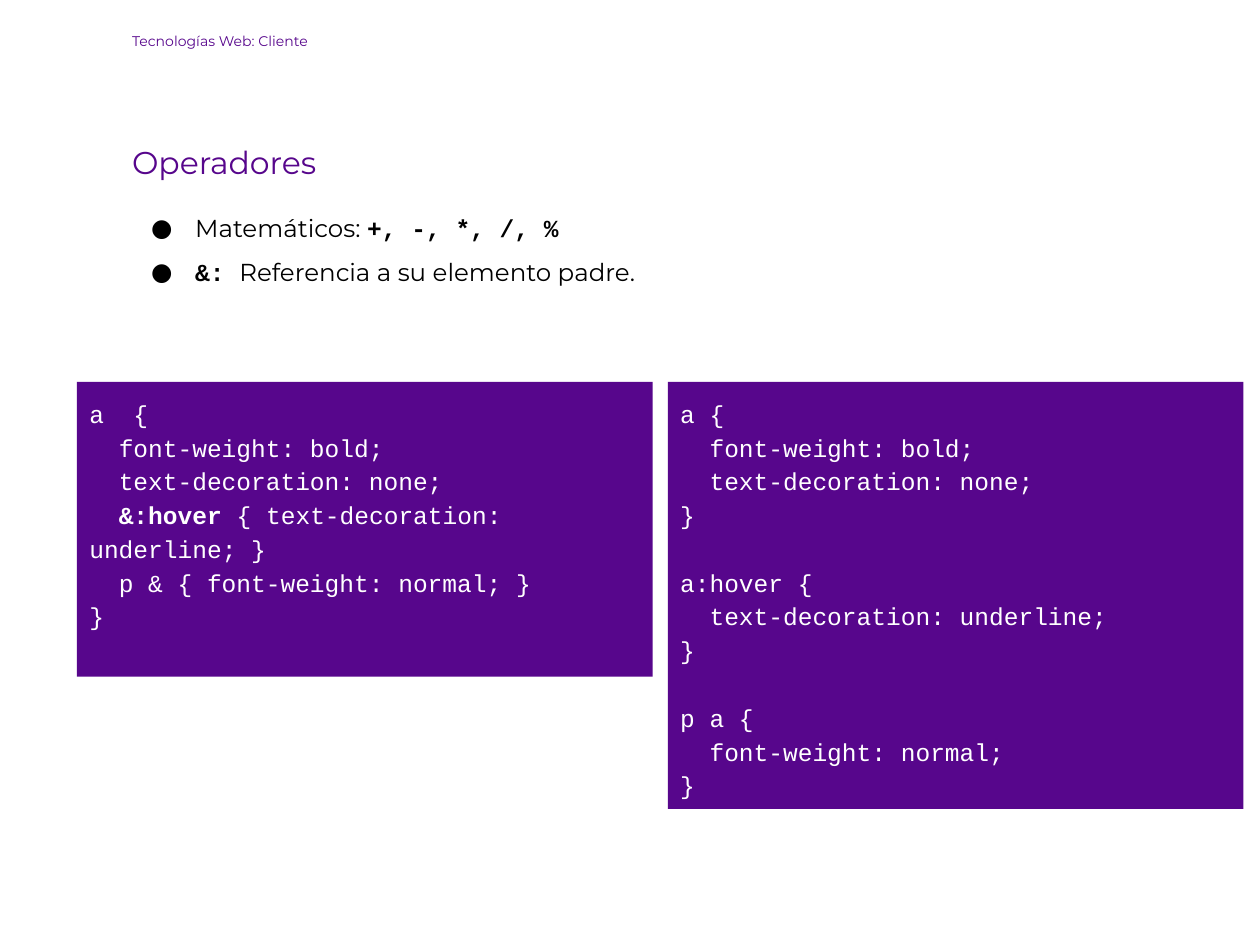
from lxml.etree import SubElement
from pptx import Presentation
from pptx.dml.color import RGBColor
from pptx.enum.shapes import MSO_SHAPE
from pptx.enum.text import MSO_ANCHOR, PP_ALIGN
from pptx.oxml.ns import qn
from pptx.util import Pt

# Content: a run is (text, style); a code line is (depth, gap above, runs)
HEADER = "Tecnologías Web: Cliente"
TITLE = "Operadores"
BULLETS = [
    [("Matemáticos: ", "body"), ("+, -, *, /, %", "mark")],
    [("&: ", "mark"), ("Referencia a su elemento padre.", "body")],
]
NESTED = [
    (0, 0, [("a  {", "code")]),
    (1, 0, [("font-weight: bold;", "code")]),
    (1, 0, [("text-decoration: none;", "code")]),
    (1, 0, [("&:hover", "strong"), (" { text-decoration: underline; }", "code")]),
    (1, 0, [("p & { font-weight: normal; }", "code")]),
    (0, 0, [("}", "code")]),
]
FLAT = [
    (0, 0, [("a {", "code")]),
    (1, 0, [("font-weight: bold;", "code")]),
    (1, 0, [("text-decoration: none;", "code")]),
    (0, 0, [("}", "code")]),
    (0, 1, [("a:hover {", "code")]),
    (1, 0, [("text-decoration: underline;", "code")]),
    (0, 0, [("}", "code")]),
    (0, 1, [("p a {", "code")]),
    (1, 0, [("font-weight: normal;", "code")]),
    (0, 0, [("}", "code")]),
]

# Theme: (font, size, colour, bold) for each style
PURPLE, BLACK, WHITE = "57068C", "000000", "FFFFFF"
SANS, MONO = "Montserrat", "Courier New"
THEME = {
    "header": (SANS, 8, PURPLE, False),
    "title": (SANS, 18, PURPLE, False),
    "body": (SANS, 14, BLACK, False),
    "mark": (MONO, 14, BLACK, True),
    "code": (MONO, 14, WHITE, False),
    "strong": (MONO, 14, WHITE, True),
}

# Layout in points
INSET = 7.2
LEFT, WIDE = 68.4, 605.5
BOX_X, BOX_Y, BOX_W, BOX_GAP = 44, 218.2, 329, 8.6
HEIGHTS = (168.5, 244)
TAB, LINE = 16.8, 19.3  # two code characters, one code line


def set_frame(shape):
    frame = shape.text_frame
    frame.word_wrap = True
    frame.vertical_anchor = MSO_ANCHOR.TOP
    frame.margin_left = frame.margin_right = Pt(INSET)
    frame.margin_top = frame.margin_bottom = Pt(INSET)
    return frame


def add_text(slide, x, y, w, h):
    return set_frame(slide.shapes.add_textbox(Pt(x), Pt(y), Pt(w), Pt(h)))


def add_line(frame, runs, lead=1.0, above=0, first=0, left=0):
    """Fill the empty first paragraph, or add one after it."""
    start = frame.paragraphs[0]
    para = frame.add_paragraph() if start.runs else start
    para.alignment = PP_ALIGN.LEFT
    para.line_spacing = lead
    para.space_before = Pt(above)
    props = para._p.get_or_add_pPr()
    props.set("marL", str(Pt(left)))
    props.set("indent", str(Pt(first)))
    for text, style in runs:
        run = para.add_run()
        run.text = text
        font = run.font
        font.name, size, tint, font.bold = THEME[style]
        font.size = Pt(size)
        font.color.rgb = RGBColor.from_string(tint)
    return props


def add_bullet(props):
    tint = SubElement(props, qn("a:buClr"))
    SubElement(tint, qn("a:srgbClr"), val=BLACK)
    SubElement(props, qn("a:buFont"), typeface=SANS)
    SubElement(props, qn("a:buChar"), char="●")


def add_code(slide, x, h, lines):
    box = slide.shapes.add_shape(
        MSO_SHAPE.RECTANGLE, Pt(x), Pt(BOX_Y), Pt(BOX_W), Pt(h))
    box.shadow.inherit = False
    box.fill.solid()
    box.fill.fore_color.rgb = RGBColor.from_string(PURPLE)
    box.line.fill.background()
    frame = set_frame(box)
    for depth, gap, runs in lines:
        add_line(frame, runs, 1.15, gap * LINE, depth * TAB)


def main():
    deck = Presentation()
    deck.slide_width, deck.slide_height = Pt(720), Pt(540)
    slide = deck.slides.add_slide(deck.slide_layouts[6])

    # Header
    add_line(add_text(slide, LEFT, 13.7, 272, 28), [(HEADER, "header")])

    # Title and bullets
    body = add_text(slide, LEFT, 71.3, WIDE, 103.7)
    add_line(body, [(TITLE, "title")], 1.15)
    for i, runs in enumerate(BULLETS):
        add_bullet(add_line(body, runs, 1.5, 0 if i else 10, -25.2, 36))

    # Code boxes
    for i, lines in enumerate((NESTED, FLAT)):
        add_code(slide, BOX_X + i * (BOX_W + BOX_GAP), HEIGHTS[i], lines)

    deck.save("out.pptx")


if __name__ == "__main__":
    main()
